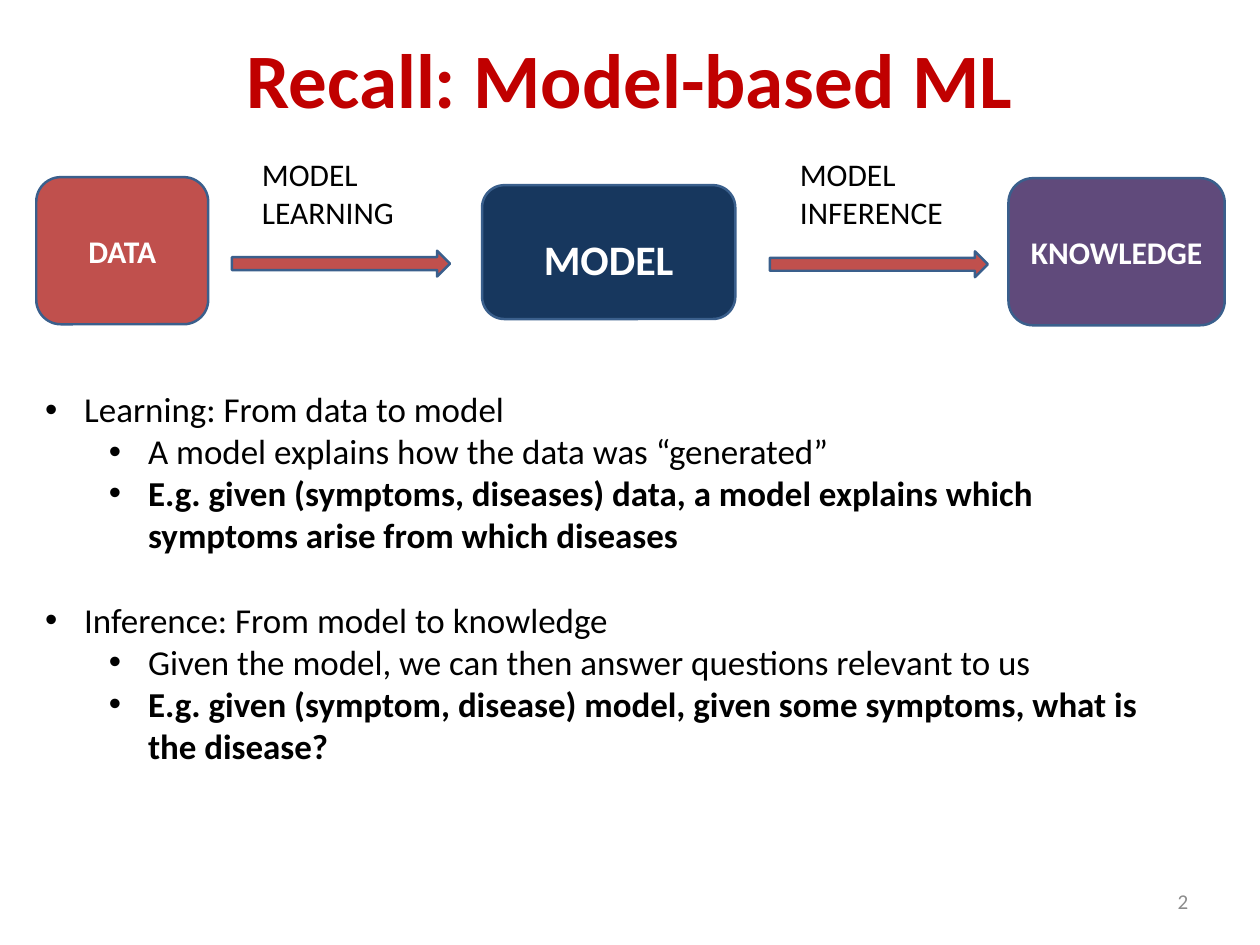
from lxml.etree import SubElement
from pptx import Presentation
from pptx.dml.color import RGBColor
from pptx.enum.shapes import MSO_SHAPE as Preset
from pptx.enum.text import MSO_ANCHOR as Anchor, MSO_AUTO_SIZE as AutoSize, PP_ALIGN as Align
from pptx.oxml.ns import qn
from pptx.util import Cm, Pt

TITLE_RED = RGBColor(0xC0, 0x00, 0x00)
BRICK = RGBColor(0xC0, 0x50, 0x4D)
NAVY = RGBColor(0x17, 0x37, 0x5E)
PURPLE = RGBColor(0x60, 0x4A, 0x7B)
OUTLINE = RGBColor(0x3A, 0x5F, 0x8C)
WHITE = RGBColor(0xFF, 0xFF, 0xFF)
BLACK = RGBColor(0x00, 0x00, 0x00)
GRAY = RGBColor(0x8C, 0x8C, 0x8C)

STEPS = [
    ("MODEL LEARNING", 6.65, 7.19),
    ("MODEL INFERENCE", 22.07, 7.21),
]
POINTS = [
    ("Learning: From data to model", [
        "A model explains how the data was “generated”",
        "E.g. given (symptoms, diseases) data, a model explains which "
        "symptoms arise from which diseases",
    ]),
    ("Inference: From model to knowledge", [
        "Given the model, we can then answer questions relevant to us",
        "E.g. given (symptom, disease) model, given some symptoms, "
        "what is the disease?",
    ]),
]


def write(paragraph, text, size=25.6, color=BLACK, bold=False, align=Align.LEFT):
    paragraph.alignment = align
    run = paragraph.add_run()
    run.text = text
    font = run.font
    font.name = "Calibri"
    font.size = Pt(size)
    font.bold = bold
    font.color.rgb = color


class ModelSlide:
    line_width = Pt(2)
    list_size = 28.4
    group_gap = Pt(34.7)
    hanging = Cm(1.12)
    indents = (Cm(1.12), Cm(2.95))

    def __init__(self, presentation):
        self.slide = presentation.slides.add_slide(presentation.slide_layouts[1])

    def place(self, shape, left, top, width, height):
        shape.left, shape.top = Cm(left), Cm(top)
        shape.width, shape.height = Cm(width), Cm(height)

    def title(self, text, *box):
        shape = self.slide.shapes.title
        self.place(shape, *box)
        frame = shape.text_frame
        frame.auto_size = AutoSize.NONE
        frame.vertical_anchor = Anchor.MIDDLE
        write(frame.paragraphs[0], text, size=62.6, color=TITLE_RED,
              bold=True, align=Align.CENTER)

    def preset(self, kind, fill, *box):
        shape = self.slide.shapes.add_shape(kind, *map(Cm, box))
        shape.shadow.inherit = False
        shape.fill.solid()
        shape.fill.fore_color.rgb = fill
        shape.line.color.rgb = OUTLINE
        shape.line.width = self.line_width
        return shape

    def stage(self, text, fill, *box, size=25.6, inset_top=0.13):
        frame = self.preset(Preset.ROUNDED_RECTANGLE, fill, *box).text_frame
        frame.margin_top = Cm(inset_top)
        frame.vertical_anchor = Anchor.MIDDLE
        write(frame.paragraphs[0], text, size=size, color=WHITE,
              bold=True, align=Align.CENTER)

    def label(self, text, *box, anchor=Anchor.TOP, **style):
        frame = self.slide.shapes.add_textbox(*map(Cm, box)).text_frame
        frame.word_wrap = True
        frame.vertical_anchor = anchor
        write(frame.paragraphs[0], text, **style)

    def step(self, text, left, top):
        self.preset(Preset.RIGHT_ARROW, BRICK, left, top, 6.25, 0.74)
        self.label(text, left + 0.61, 4.32, 5.54, 2.44)

    def bullet(self, paragraph, text, level, gap=0, bold=False):
        paragraph.level = level
        paragraph.space_before = gap
        paragraph.space_after = 0
        write(paragraph, text, size=self.list_size, bold=bold)
        properties = paragraph._p.get_or_add_pPr()
        properties.set("marL", str(self.indents[level]))
        properties.set("indent", str(-self.hanging))
        SubElement(properties, qn("a:buFont"), typeface="Arial")
        SubElement(properties, qn("a:buChar"), char="•")

    def points(self, groups, *box):
        shape = self.slide.placeholders[1]
        self.place(shape, *box)
        frame = shape.text_frame
        frame.auto_size = AutoSize.NONE
        frame.vertical_anchor = Anchor.TOP
        for index, (heading, (explanation, example)) in enumerate(groups):
            first = frame.add_paragraph() if index else frame.paragraphs[0]
            self.bullet(first, heading, 0, gap=self.group_gap if index else 0)
            self.bullet(frame.add_paragraph(), explanation, 1)
            self.bullet(frame.add_paragraph(), example, 1, bold=True)


def main():
    presentation = Presentation()
    presentation.slide_width = Cm(36.12)
    presentation.slide_height = Cm(27.1)

    page = ModelSlide(presentation)
    page.title("Recall: Model-based ML", 1.8, -0.03, 32.51, 4.52)
    page.stage("DATA", BRICK, 1.04, 5.08, 4.93, 4.22)
    page.stage("MODEL", NAVY, 13.82, 5.31, 7.26, 3.84, size=34.1, inset_top=0.5)
    page.stage("KNOWLEDGE", PURPLE, 28.91, 5.11, 6.2, 4.22)
    for text, left, top in STEPS:
        page.step(text, left, top)
    page.points(POINTS, 1.04, 11, 31.9, 11.2)
    page.label("2", 25.88, 25.12, 8.43, 1.45, anchor=Anchor.MIDDLE,
               size=17.1, color=GRAY, align=Align.RIGHT)

    presentation.save("out.pptx")


if __name__ == "__main__":
    main()
